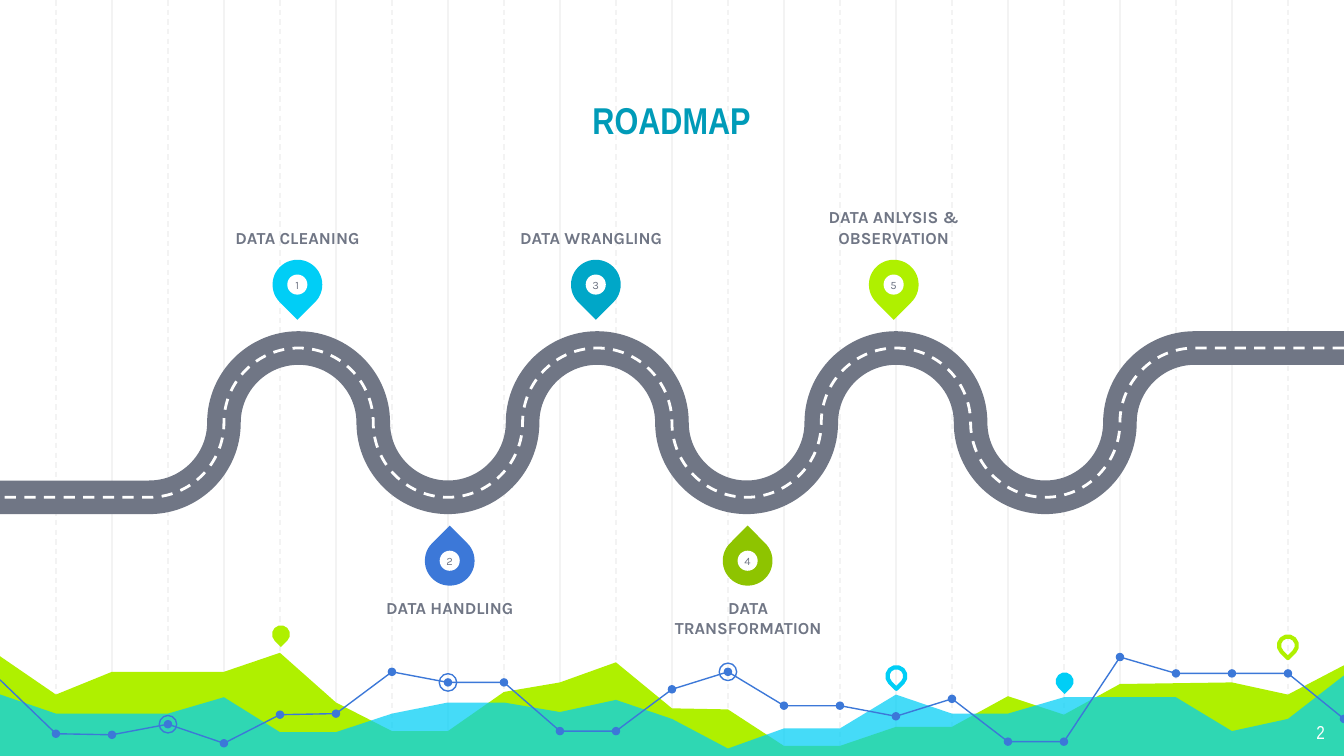
from itertools import pairwise
from lxml import etree
from pptx import Presentation
from pptx.dml.color import RGBColor
from pptx.enum.dml import MSO_LINE
from pptx.enum.shapes import MSO_CONNECTOR, MSO_SHAPE
from pptx.enum.text import MSO_ANCHOR, PP_ALIGN
from pptx.oxml.ns import qn
from pptx.util import Cm, Pt

DASH = MSO_LINE.DASH
STRAIGHT = MSO_CONNECTOR.STRAIGHT
OVAL, TEARDROP = MSO_SHAPE.OVAL, MSO_SHAPE.TEAR
TOP, MIDDLE, BOTTOM = MSO_ANCHOR.TOP, MSO_ANCHOR.MIDDLE, MSO_ANCHOR.BOTTOM
CENTER, RIGHT = PP_ALIGN.CENTER, PP_ALIGN.RIGHT

LIME, CYAN, BLUE = "AFF000", "00CEF6", "3C78D8"
TEAL, GREEN, GRAY = "00A7C8", "8EC400", "707685"
WHITE, GRID = "FFFFFF", "F3F3F3"

WIDTH, HEIGHT = 25.4, 14.29
STEP = WIDTH / 24


def paint(fill, color):
    """Make a shape, line or font fill solid in a hex colour."""
    fill.solid()
    fill.fore_color.rgb = RGBColor.from_string(color)


def style(s, fill=None, line=None, width=0.75, dash=None):
    s.shadow.inherit = False
    for part, color in ((s.fill, fill), (s.line.fill, line)):
        if color:
            paint(part, color)
        else:
            part.background()
    if line:
        s.line.width = Pt(width)
        s.line.dash_style = dash


prs = Presentation()
prs.slide_width, prs.slide_height = Cm(WIDTH), Cm(HEIGHT)
slide = prs.slides.add_slide(prs.slide_layouts[6])
shapes = slide.shapes

# Vertical grid: solid lines on even steps, dashed on odd ones
for i in [*range(2, 24, 2), *range(1, 24, 2)]:
    c = shapes.add_connector(STRAIGHT, Cm(i * STEP), 0, Cm(i * STEP), Cm(14.35))
    paint(c.line.fill, GRID)
    c.line.width = Pt(0.75)
    if i % 2:
        c.line.dash_style = DASH
    etree.SubElement(c._element.spPr, qn("a:effectLst"))

# Heights at each grid step; None where the outline runs straight on
lime_area = [12.37, 13.13, 12.7, None, 12.7, 12.34, 13.28, 13.82, 13.82, 13.08,
             12.9, 12.52, 13.39, 13.41, 14.1, 14.1, 13.74, 13.74, 13.16, 13.51,
             12.93, None, 12.9, 13.13, 12.55]
cyan_area = [13.11, 13.49, None, 13.49, 13.18, 13.84, 13.84, 13.49, 13.28, 13.28,
             13.46, 13.23, 13.59, 14.15, 13.77, 13.77, 13.13, 13.49, 13.49, 13.18,
             None, 13.18, 13.82, 13.59, 12.73]
trend = [12.85, 13.87, 13.89, 13.69, 14.05, 13.51, 13.49, 12.7, 12.9, 12.9,
         13.82, 13.82, 13.03, 12.7, 13.34, 13.34, 13.54, 13.21, 14.02, 14.02,
         12.42, 12.73, 12.73, 12.73, 13.59]

BLEED = 0.05
for heights, color in ((lime_area, LIME), (cyan_area, CYAN)):
    xs = [-BLEED, *(i * STEP for i in range(1, 24)), WIDTH + BLEED]
    points = [(Cm(x), Cm(y)) for x, y in zip(xs, heights) if y]
    points += [(Cm(x), Cm(14.34)) for x in (xs[-1], xs[0])]
    fb = shapes.build_freeform(*points[0])
    fb.add_line_segments(points[1:], close=True)
    s = fb.convert_to_shape()
    style(s, fill=color)
    if color == CYAN:
        rgb = s._element.spPr.find(".//" + qn("a:srgbClr"))
        etree.SubElement(rgb, qn("a:alpha"), val="73000")

# Small pins above the landscape
for x, y, look in (
    (5.31, 11.99, {"fill": LIME}),
    (16.94, 12.78, {"line": CYAN, "width": 2.25}),
    (20.12, 12.88, {"fill": CYAN}),
    (24.34, 12.2, {"line": LIME, "width": 2.25}),
):
    s = shapes.add_shape(TEARDROP, Cm(x - 0.17), Cm(y - 0.17), Cm(0.34), Cm(0.34))
    s.rotation = 135
    style(s, **look)

# Trend line in three stretches, with dots and a few rings
for first, last in ((0, 11), (11, 20), (20, 24)):
    points = [(Cm(i * STEP), Cm(trend[i])) for i in range(first, last + 1)]
    fb = shapes.build_freeform(*points[0])
    fb.add_line_segments(points[1:], close=False)
    style(fb.convert_to_shape(), line=BLUE)

for steps, size, look in (
    (range(1, 25), 0.16, {"fill": BLUE}),
    ((3, 8, 13), 0.33, {"line": BLUE}),
):
    for i in steps:
        s = shapes.add_shape(OVAL, Cm(i * STEP - size / 2), Cm(trend[i] - size / 2),
                             Cm(size), Cm(size))
        style(s, **look)

# Road from right to left: each bend is a quarter circle between two points
RADIUS, ROAD_Y, ARC = WIDTH / 18, 7.99, 0.55
levels = (-1, 0, 1, 0)
road = [(WIDTH, ROAD_Y - RADIUS)]
road += [((16 - i) * RADIUS, ROAD_Y + levels[i % 4] * RADIUS) for i in range(15)]
road.append((0, ROAD_Y + RADIUS))
points = [(Cm(x), Cm(y)) for x, y in road]
for look in (
    {"line": GRAY, "width": 18},
    {"line": WHITE, "width": 1.5, "dash": DASH},
):
    fb = shapes.build_freeform(*points[0])
    fb.add_line_segments(points[1:], close=False)
    s = fb.convert_to_shape()
    style(s, **look)
    nodes = list(s._element.spPr.iter(qn("a:pt")))[1:-1]
    for i, (start, end) in enumerate(pairwise(nodes)):
        x0, y0, x1, y1 = (int(pt.get(k)) for pt in (start, end) for k in "xy")
        bend_x, bend_y = ARC * (x1 - x0), ARC * (y1 - y0)
        if i % 2:
            controls = ((x0, y0 + bend_y), (x1 - bend_x, y1))
        else:
            controls = ((x0 + bend_x, y0), (x1, y1 - bend_y))
        segment = end.getparent()
        segment.tag = qn("a:cubicBezTo")
        for k, (x, y) in enumerate(controls):
            pt = etree.Element(qn("a:pt"), x=str(round(x)), y=str(round(y)))
            segment.insert(k, pt)

# Numbered markers and their labels, alternately above and below the road
number_font = {"name": "Karla", "size": Pt(6)}
label_font = {"name": "Karla", "size": Pt(9), "bold": True}
title_font = {"name": "Arial Narrow", "size": Pt(20), "bold": True}
page_font = {"name": "Arial Narrow", "size": Pt(10)}

s = shapes.add_textbox(Cm(2.98), Cm(0.95), Cm(19.43), Cm(1.98))
texts = [(s, "ROADMAP", title_font, "009BB8", BOTTOM, CENTER, 0.25)]
s = shapes.add_textbox(Cm(23.77), Cm(13.41), Cm(1.52), Cm(0.89))
texts.append((s, "2", page_font, WHITE, TOP, RIGHT, 0.25))

for n, (label, color, x, left) in enumerate((
    ("DATA CLEANING", CYAN, 5.62, 3.83),
    ("DATA HANDLING", BLUE, 8.5, 6.71),
    ("DATA WRANGLING", TEAL, 11.26, 9.38),
    ("DATA TRANSFORMATION", GREEN, 14.13, 12.35),
    ("DATA ANLYSIS & OBSERVATION", LIME, 16.89, 15.1),
), start=1):
    above = n % 2 == 1
    y = 5.38 if above else 10.6
    marker = shapes.add_group_shape().shapes
    s = marker.add_shape(TEARDROP, Cm(x - 0.47), Cm(y - 0.47), Cm(0.94), Cm(0.94))
    s.rotation = 135 if above else 315
    style(s, fill=color)
    s = marker.add_shape(OVAL, Cm(x - 0.19), Cm(y - 0.19), Cm(0.38), Cm(0.38))
    style(s, fill=WHITE)
    texts.append((s, str(n), number_font, GRAY, MIDDLE, CENTER, 0))
    s = shapes.add_textbox(Cm(left), Cm(3.21 if above else 11.29), Cm(3.58), Cm(1.47))
    texts.append((s, label, label_font, GRAY, BOTTOM if above else TOP, CENTER, 0))

for s, text, font, color, anchor, align, inset in texts:
    tf = s.text_frame
    frame = {"word_wrap": True, "vertical_anchor": anchor}
    for side in ("left", "right", "top", "bottom"):
        frame["margin_" + side] = Cm(inset)
    p = tf.paragraphs[0]
    p.alignment = align
    r = p.add_run()
    r.text = text
    paint(r.font.fill, color)
    for target, values in ((tf, frame), (r.font, font)):
        for name, value in values.items():
            setattr(target, name, value)

prs.save("out.pptx")
